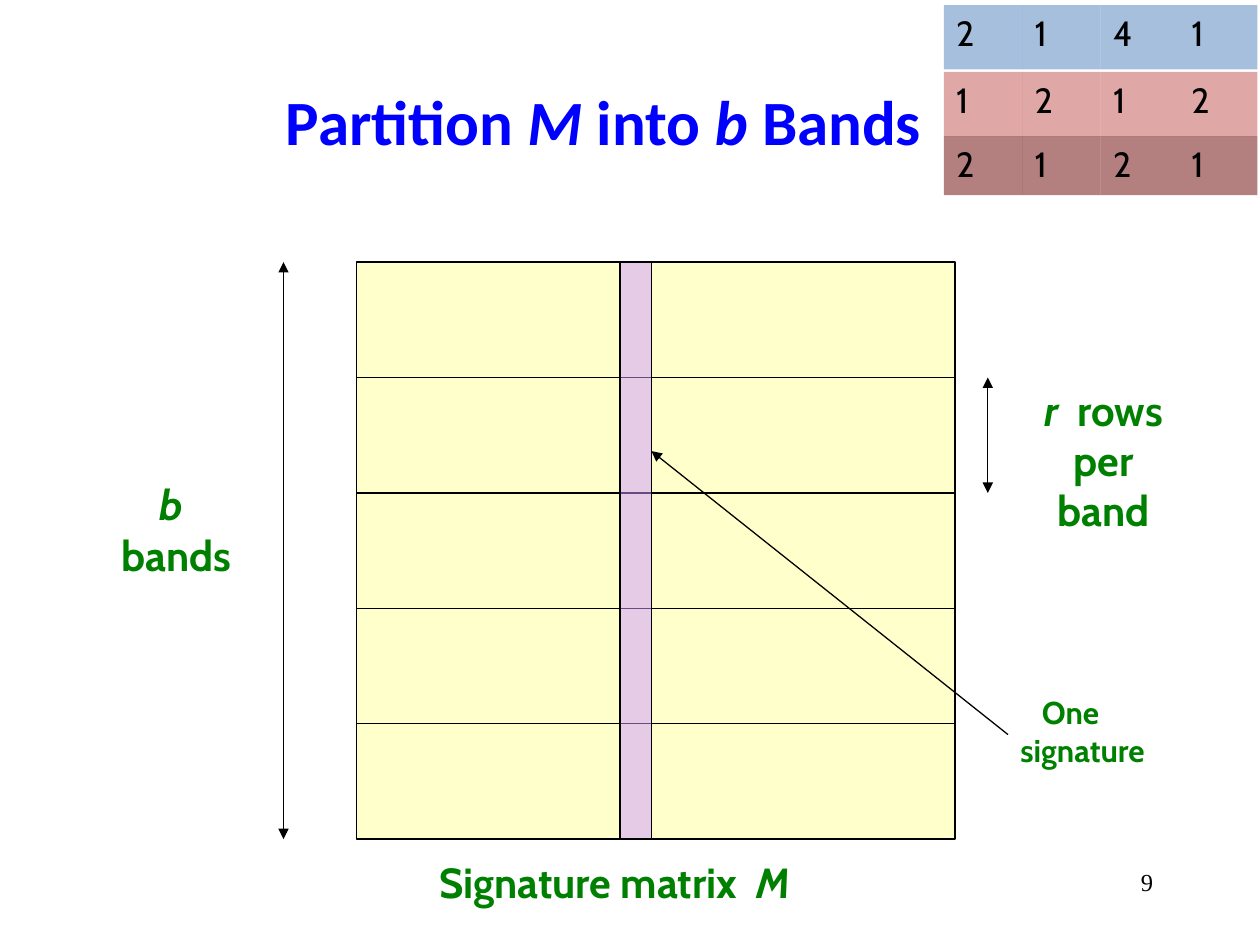
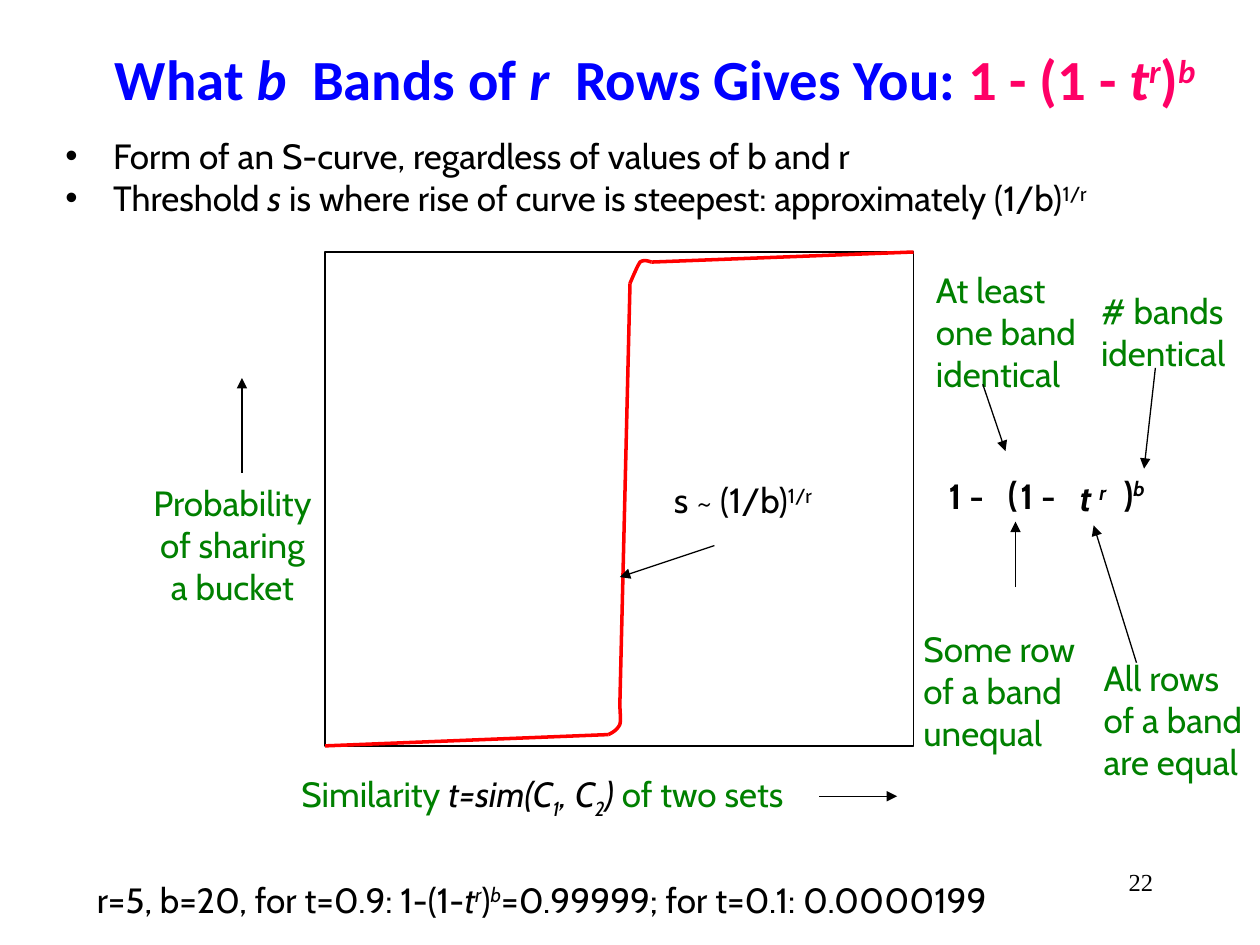
from pptx import Presentation
from pptx import util as u
from pptx.dml.color import RGBColor
from pptx.enum import shapes, text
from pptx.oxml.ns import qn
from lxml import etree

COLORS = {
    "title": "0000FF", "formula": "FF0066", "label": "008000", "ink": "000000",
    "matrix": "FFFF99", "signature": "CC99FF", "curve": "FF0000",
    "band_1": "4F81BD", "band_2": "C0504D", "band_3": "680000",
}

# Text formats shared by both slides
TITLE = {"name": "Calibri", "size": 36, "bold": True, "color": "title"}
NUMBER = {"name": "Times New Roman", "size": 14, "color": "ink"}
BODY = {"name": "Cabin", "size": 20, "color": "ink"}
NOTE = {**BODY, "color": "label"}
LABEL = {**NOTE, "size": 24, "bold": True}
TERM = {**BODY, "bold": True}

# Changes within a line
ITALIC = {"italic": True}
SUPER = {"base": 30}
SUPER_ITALIC = {**ITALIC, **SUPER}

LEFT, CENTER, RIGHT = text.PP_ALIGN.LEFT, text.PP_ALIGN.CENTER, text.PP_ALIGN.RIGHT


def rgb(color):
    return RGBColor.from_string(COLORS[color])


def inches(values):
    return [u.Inches(value) for value in values]


def format_run(run, style):
    """Apply a dict of format values to a run."""
    for key, value in style.items():
        if key == "color":
            run.font.color.rgb = rgb(value)
        elif key == "base":
            run._r.get_or_add_rPr().set("baseline", str(value * 1000))
        else:
            setattr(run.font, key, u.Pt(value) if key == "size" else value)


def write(frame, lines, style, align=LEFT):
    """Write lines; each is a string or a list of strings and (string, changes)."""
    frame.word_wrap = True
    for index, line in enumerate(lines):
        paragraph = frame.paragraphs[0] if index == 0 else frame.add_paragraph()
        paragraph.alignment = align
        for part in [line] if isinstance(line, str) else line:
            words, changes = (part, {}) if isinstance(part, str) else part
            run = paragraph.add_run()
            run.text = words
            format_run(run, {**style, **changes})


def add_text(slide, place, lines, style, align=LEFT):
    frame = slide.shapes.add_textbox(*inches(place)).text_frame
    write(frame, lines, style, align)
    return frame


def add_title(slide, place, line, size):
    frame = add_text(slide, place, [line], {**TITLE, "size": size}, CENTER)
    frame.vertical_anchor = text.MSO_ANCHOR.MIDDLE


def add_slide_number(slide, number):
    add_text(slide, (7.17, 6.83, 2.08, 0.5), [number], NUMBER, RIGHT)


def indent(paragraph, left, first=0.0, bullet=None):
    properties = paragraph._p.get_or_add_pPr()
    properties.set("marL", str(u.Inches(left)))
    properties.set("indent", str(u.Inches(first)))
    if bullet:
        etree.SubElement(properties, qn("a:buFont"), typeface="Arial")
        etree.SubElement(properties, qn("a:buChar"), char=bullet)


def add_rect(slide, place, fill=None, outline=True):
    """Rectangle with a half transparent fill, or none."""
    rect = slide.shapes.add_shape(shapes.MSO_SHAPE.RECTANGLE, *inches(place))
    rect.shadow.inherit = False
    if fill:
        rect.fill.solid()
        rect.fill.fore_color.rgb = rgb(fill)
        tint = rect.fill._xPr.find(qn("a:solidFill"))[0]
        etree.SubElement(tint, qn("a:alpha"), val="50000")
    else:
        rect.fill.background()
    if outline:
        rect.line.color.rgb = rgb("ink")
        rect.line.width = u.Pt(0.75)
    else:
        rect.line.fill.background()
    return rect


def add_line(slide, start, end, color="ink", width=0.75, arrows=()):
    line = slide.shapes.add_connector(shapes.MSO_CONNECTOR.STRAIGHT, *inches((*start, *end)))
    line.line.color.rgb = rgb(color)
    line.line.width = u.Pt(width)
    for arrow in arrows:
        etree.SubElement(line.line._get_or_add_ln(), qn("a:" + arrow), type="triangle")
    etree.SubElement(line._element.spPr, qn("a:effectLst"))


def add_arrow(slide, start, end):
    add_line(slide, start, end, arrows=["tailEnd"])


def add_span(slide, start, end):
    add_line(slide, start, end, arrows=["headEnd", "tailEnd"])


def bezier(points, steps=8):
    """Points along a cubic curve, after its start."""
    for step in range(1, steps + 1):
        t = step / steps
        weights = ((1 - t) ** 3, 3 * t * (1 - t) ** 2, 3 * t * t * (1 - t), t ** 3)
        yield tuple(sum(w * p[axis] for w, p in zip(weights, points)) for axis in (0, 1))


def add_bend(slide, points):
    """Outline through consecutive cubic curves that share their end points."""
    outline = [inches(point) for first in range(0, len(points) - 1, 3)
               for point in bezier(points[first:first + 4])]
    # The builder rounds to whole units, so it works in EMU
    builder = slide.shapes.build_freeform(*inches(points[0]))
    builder.add_line_segments(outline, close=False)
    bend = builder.convert_to_shape()
    bend.shadow.inherit = False
    bend.fill.background()
    bend.line.color.rgb = rgb("curve")
    bend.line.width = u.Pt(2)


def add_sample_signatures(slide):
    left, width = 7.49, 0.6225
    rows = [
        (0.04, 0.51, "band_1", "2141"),
        (0.57, 0.51, "band_2", "1212"),
        (1.08, 0.47, "band_3", "2121"),
    ]
    for top, height, fill, values in rows:
        for column, value in enumerate(values):
            cell = add_rect(slide, (left + column * width, top, width, height), fill, outline=False)
            cell.text_frame.vertical_anchor = text.MSO_ANCHOR.TOP
            write(cell.text_frame, [value], BODY)


def build_bands_slide(slide):
    add_title(slide, (0.75, 0.33, 8.08, 1.25),
              ["Partition ", ("M", ITALIC), " into ", ("b", ITALIC), " Bands"], 36)
    add_slide_number(slide, "9")

    # Matrix cut into equal bands, with one signature column
    left, top, width, height, bands = 2.83, 2.08, 4.75, 4.58, 5
    right, bottom = left + width, top + height
    cuts = [top + band * height / bands for band in range(1, bands)]
    add_rect(slide, (left, top, width, height), "matrix")
    for cut in cuts:
        add_line(slide, (left, cut), (right, cut))
    add_rect(slide, (4.92, top, 0.25, height), "signature")

    # Measures and labels
    add_span(slide, (7.84, cuts[0]), (7.84, cuts[1]))
    add_span(slide, (2.25, top), (2.25, bottom))
    add_arrow(slide, (8, 5.83), (5.17, 3.58))
    add_text(slide, (2.93, 6.75, 3.9, 0.5),
             [["Signature matrix  ", ("M", ITALIC)]], LABEL, CENTER)
    add_text(slide, (8.18, 3, 1.16, 1.3),
             [[("r ", ITALIC), " rows"], "per band"], LABEL, CENTER)
    add_text(slide, (0.75, 3.75, 1.3, 0.9), [[("b", ITALIC), "  bands"]], LABEL, CENTER)
    signature = add_text(slide, (8, 5.45, 1.5, 0.71), ["One", "signature"],
                         {**LABEL, "size": 18})
    indent(signature.paragraphs[0], 0.17)

    add_sample_signatures(slide)


def add_s_curve(slide):
    base, foot, low, high, shoulder, peak = (
        (2.58, 5.92), (4.83, 5.83), (4.92, 5.58), (5, 2.25), (5.17, 2.08), (7.25, 2))
    for start, end in [(base, foot), (low, high), (shoulder, peak)]:
        add_line(slide, start, end, "curve", 2)
    add_bend(slide, [foot, (4.87, 5.81), (4.9, 5.79), (4.92, 5.75),
                     (4.93, 5.71), (4.92, 5.65), low])
    add_bend(slide, [high, (5.03, 2.18), (5.06, 2.11), (5.08, 2.08),
                     (5.11, 2.06), (5.14, 2.07), shoulder])


def build_curve_slide(slide):
    formula = {"color": "formula"}
    add_title(slide, (0.45, 0.08, 9.5, 1.08), [
        "What ", ("b", ITALIC), "  Bands of ", ("r", ITALIC), "  Rows Gives You: ",
        ("1 - (1 - ", formula), ("t", {**formula, **ITALIC}),
        ("r", {**formula, **SUPER_ITALIC}), (")", formula),
        ("b", {**formula, **SUPER_ITALIC})], 32.4)
    add_slide_number(slide, "22")

    facts = add_text(slide, (0.42, 1.02, 9.08, 0.77), [
        "Form of an S-curve, regardless of values of b and r",
        ["Threshold ", ("s", ITALIC),
         " is where rise of curve is steepest: approximately (1/b)", ("1/r", SUPER)]], BODY)
    for fact in facts.paragraphs:
        indent(fact, 0.38, -0.38, "•")

    # Plot
    add_rect(slide, (2.58, 2, 4.67, 3.92))
    add_s_curve(slide)

    # Terms of the formula
    terms = [
        ((7.43, 3.72, 0.58, 0.44), ["1 -"]),
        ((7.9, 3.7, 0.33, 0.44), ["("]),
        ((8, 3.72, 0.58, 0.44), ["1 -"]),
        ((8.47, 3.73, 0.53, 0.44), [("t ", ITALIC), ("r", SUPER_ITALIC)]),
        ((8.82, 3.7, 0.48, 0.44), [")", ("b", SUPER_ITALIC)]),
    ]
    for place, term in terms:
        add_text(slide, place, [term], TERM)

    # What each term means
    meanings = [
        ((7.33, 2.08, 1.36, 1.11), ["At least", "one band", "identical"]),
        ((8.64, 2.25, 1.36, 0.77), ["# bands", "identical"]),
        ((7.23, 4.93, 1.56, 1.11), ["Some row", "of a band", "unequal"]),
        ((8.66, 5.16, 1.38, 1.11), ["All rows", "of a band", "are equal"]),
    ]
    for place, meaning in meanings:
        add_text(slide, place, meaning, NOTE)
    add_text(slide, (5.25, 3.75, 1.58, 0.44), [["s ~ (1/b)", ("1/r", SUPER)]], BODY)

    # Axis titles
    add_text(slide, (1.1, 3.77, 1.49, 1.11),
             ["Probability", "of sharing", "a bucket"], NOTE, CENTER)
    variable = {"color": "ink", **ITALIC}
    subscript = {**variable, "base": -25}
    add_text(slide, (1.93, 6.08, 4.75, 0.44), [[
        "Similarity ", ("t=sim(C", variable), ("1", subscript), (", C", variable),
        ("2", subscript), (")", variable), " of two sets"]], NOTE, CENTER)

    pointers = [
        ((7.8, 3.05), (7.98, 3.58)),
        ((9.17, 2.92), (9.08, 3.72)),
        ((8.06, 4.66), (8.06, 4.14)),
        ((9.02, 5.26), (8.68, 4.17)),
        ((5.67, 4.33), (4.92, 4.58)),
        ((6.5, 6.32), (7.12, 6.32)),
        ((1.92, 3.75), (1.92, 3)),
    ]
    for start, end in pointers:
        add_arrow(slide, start, end)

    # Worked example
    add_text(slide, (0.67, 6.92, 8.83, 0.44), [[
        "r=5, b=20, for t=0.9: 1-(1-", ("t", ITALIC), ("r", SUPER_ITALIC), ")",
        ("b", SUPER_ITALIC), "=0.99999; for t=0.1: 0.0000199"]], BODY)


def main():
    deck = Presentation()
    deck.slide_width, deck.slide_height = u.Inches(10), u.Inches(7.5)
    blank = deck.slide_layouts[6]
    for build in (build_bands_slide, build_curve_slide):
        build(deck.slides.add_slide(blank))
    deck.save("out.pptx")


if __name__ == "__main__":
    main()
